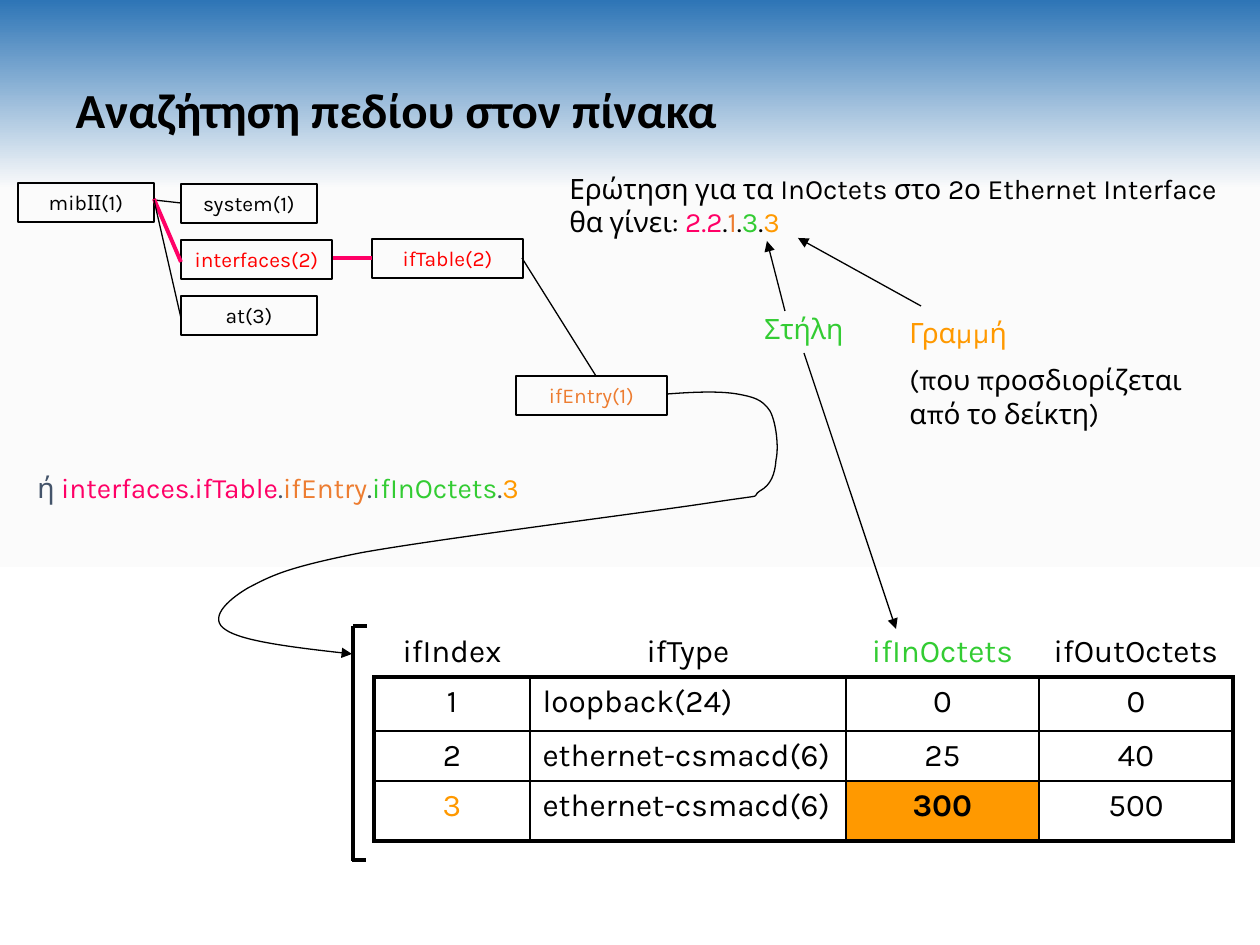
from copy import deepcopy
from lxml import etree
from pptx import Presentation
from pptx.dml.color import RGBColor
from pptx.enum.shapes import MSO_CONNECTOR, MSO_SHAPE
from pptx.enum.text import MSO_ANCHOR, MSO_AUTO_SIZE, PP_ALIGN
from pptx.oxml.ns import qn
from pptx.util import Pt

PX = 914400 / 126
STRAIGHT = MSO_CONNECTOR.STRAIGHT
RECT = MSO_SHAPE.RECTANGLE
MIDDLE = MSO_ANCHOR.MIDDLE
NO_FIT = MSO_AUTO_SIZE.NONE
LEFT, CENTER = PP_ALIGN.LEFT, PP_ALIGN.CENTER
BLACK = RGBColor(0, 0, 0)
WHITE = RGBColor(255, 255, 255)
BLUE = RGBColor(0x2E, 0x75, 0xB6)
PALE = RGBColor(0xFB, 0xFB, 0xFB)
SLATE = RGBColor(0x44, 0x54, 0x6A)
RED = RGBColor(0xFF, 0, 0)
PINK = RGBColor(0xFF, 0, 0x66)
RUST = RGBColor(0xED, 0x7D, 0x31)
GREEN = RGBColor(0x33, 0xCC, 0x33)
AMBER = RGBColor(0xFF, 0x99, 0)
NO_STYLE = "{2D5ABB26-0587-4C30-8999-92F81FD0307C}"


def emu(*px):
    return [round(v * PX) for v in px]


def write(tf, paras, size, align=LEFT, font="Karla", bold=False):
    tf.word_wrap = True
    for i, runs in enumerate(paras):
        p = tf.add_paragraph() if i else tf.paragraphs[0]
        p.alignment = align
        p.space_before = Pt(size / 2 if i else 0)
        for text, color in runs:
            r = p.add_run()
            r.text = text
            fmt = {"name": font, "size": Pt(size), "bold": bold}
            for key, value in fmt.items():
                setattr(r.font, key, value)
            r.font.color.rgb = color


prs = Presentation()
prs.slide_width, prs.slide_height = emu(1260, 945)
s = prs.slides.add_slide(prs.slide_layouts[5])

fill = s.background.fill
fill.gradient()
fill.gradient_angle = 270
gs_lst = s._element.find(".//" + qn("a:gsLst"))
gs_lst.insert(1, deepcopy(gs_lst[0]))
for stop, (pos, color) in zip(fill.gradient_stops, [(0, BLUE), (0.2, PALE), (1, WHITE)]):
    stop.position = pos
    stop.color.rgb = color

title = s.shapes.title
title.left, title.top, title.width, title.height = emu(63, 30, 1134, 165)
tf = title.text_frame
tf.auto_size = NO_FIT
tf.vertical_anchor = MIDDLE
write(tf, [[("Αναζήτηση πεδίου στον πίνακα", BLACK)]], 28, font="Calibri", bold=True)
tf.paragraphs[0].line_spacing = 0.9

rows = [
    ["ifIndex", "ifType", "ifInOctets", "ifOutOctets"],
    ["1", "loopback(24)", "0", "0"],
    ["2", "ethernet-csmacd(6)", "25", "40"],
    ["3", "ethernet-csmacd(6)", "300", "500"],
]
widths, heights = [156, 316, 193, 194], [50, 54, 50, 60]
accents = {(0, 2): GREEN, (3, 0): AMBER}
frame = s.shapes.add_table(4, 4, *emu(374, 627, sum(widths), sum(heights)))
table = frame.table
table.first_row = table.horz_banding = False
table._tbl.tblPr.find(qn("a:tableStyleId")).text = NO_STYLE
for col, w in zip(table.columns, emu(*widths)):
    col.width = w
for row, h in zip(table.rows, emu(*heights)):
    row.height = h
for i, values in enumerate(rows):
    for j, value in enumerate(values):
        cell = table.cell(i, j)
        target = (i, j) == (3, 2)
        align = LEFT if i and j == 1 else CENTER
        write(cell.text_frame, [[(value, accents.get((i, j), BLACK))]], 18, align, bold=target)
        if target:
            cell.fill.solid()
            cell.fill.fore_color.rgb = AMBER
        else:
            cell.fill.background()
        edges = {"L": j == 0, "R": j == 3, "T": i == 1, "B": i in (0, 3)}
        tc_pr = cell._tc.get_or_add_tcPr()
        for n, (side, outer) in enumerate(edges.items()):
            ln = etree.Element(qn("a:ln" + side), w=str(Pt(2.25 if outer else 1)))
            if i or side == "B":
                solid = etree.SubElement(ln, qn("a:solidFill"))
                etree.SubElement(solid, qn("a:srgbClr"), val=str(BLACK))
            else:
                etree.SubElement(ln, qn("a:noFill"))
            tc_pr.insert(n, ln)

nodes = [
    ("mibΙΙ(1)", 18, 183, 136, BLACK),
    ("system(1)", 181, 184, 136, BLACK),
    ("interfaces(2)", 181, 240, 151, RED),
    ("at(3)", 181, 296, 136, BLACK),
    ("ifTable(2)", 372, 239, 151, RED),
    ("ifEntry(1)", 516, 376, 151, RUST),
]
for text, x, y, w, color in nodes:
    sp = s.shapes.add_shape(RECT, *emu(x, y, w, 39))
    sp.shadow.inherit = False
    sp.fill.background()
    sp.line.color.rgb = BLACK
    sp.line.width = Pt(0.75)
    tf = sp.text_frame
    tf.margin_left = tf.margin_right = 0
    tf.vertical_anchor = MIDDLE
    write(tf, [[(text, color)]], 12, CENTER)

curve = [
    (668, 394), (694, 392), (719, 391), (737, 394), (753, 397), (762, 399), (770, 411),
    (776, 422), (779, 447), (776, 460), (775, 474), (771, 485), (760, 491),
    (748, 499), (775, 493), (709, 503), (643, 513), (437, 539), (360, 553),
    (285, 568), (271, 576), (248, 588), (226, 601), (208, 619), (226, 630),
    (242, 641), (297, 648), (352, 654),
]
builder = s.shapes.build_freeform(*curve[0], scale=PX)
builder.add_line_segments(curve[1:], close=False)
sp = builder.convert_to_shape()
sp.shadow.inherit = False
sp.fill.background()
sp.line.color.rgb = BLACK
sp.line.width = Pt(0.75)
etree.SubElement(sp.line._get_or_add_ln(), qn("a:tailEnd"), type="triangle")
outline = sp._element.find(".//" + qn("a:path"))
segments = outline.findall(qn("a:lnTo"))
for k in range(0, len(segments), 3):
    bezier = etree.SubElement(outline, qn("a:cubicBezTo"))
    for segment in segments[k:k + 3]:
        bezier.append(segment[0])
        outline.remove(segment)

links = [
    (154, 200, 181, 203, BLACK, 0.75, False),
    (154, 199, 181, 262, PINK, 2.25, False),
    (154, 200, 181, 318, BLACK, 0.75, False),
    (333, 258, 372, 258, PINK, 2.25, False),
    (522, 258, 596, 376, BLACK, 0.75, False),
    (367, 626, 353, 626, BLACK, 2.25, False),
    (353, 626, 353, 861, BLACK, 2.25, False),
    (366, 860, 352, 860, BLACK, 2.25, False),
    (785, 311, 767, 241, BLACK, 0.75, True),
    (804, 353, 896, 629, BLACK, 0.75, True),
    (921, 306, 798, 238, BLACK, 0.75, True),
]
for x1, y1, x2, y2, color, width, arrow in links:
    cx = s.shapes.add_connector(STRAIGHT, *emu(x1, y1, x2, y2))
    cx.line.color.rgb = color
    cx.line.width = Pt(width)
    if arrow:
        etree.SubElement(cx.line._get_or_add_ln(), qn("a:tailEnd"), type="triangle")
    etree.SubElement(cx._element.spPr, qn("a:effectLst"))

texts = [
    (557, 165, 683, 81, [[
        ("Ερώτηση για τα InOctets στο 2ο Ethernet Interface θα γίνει: ", BLACK),
        ("2.2", PINK), (".", BLACK), ("1", RUST), (".", BLACK),
        ("3", GREEN), (".", BLACK), ("3", AMBER)]]),
    (752, 305, 107, 47, [[("Στήλη", GREEN)]]),
    (897, 309, 328, 131, [
        [("Γραμμή", AMBER)], [("(που προσδιορίζεται από το δείκτη)", BLACK)]]),
    (25, 464, 683, 47, [[
        ("ή ", SLATE), ("interfaces.ifTable", PINK), (".", SLATE), ("ifEntry", RUST),
        (".", SLATE), ("ifInOctets", GREEN), (".", SLATE), ("3", AMBER)]]),
]
for x, y, w, h, paras in texts:
    write(s.shapes.add_textbox(*emu(x, y, w, h)).text_frame, paras, 16)

prs.save("out.pptx")
